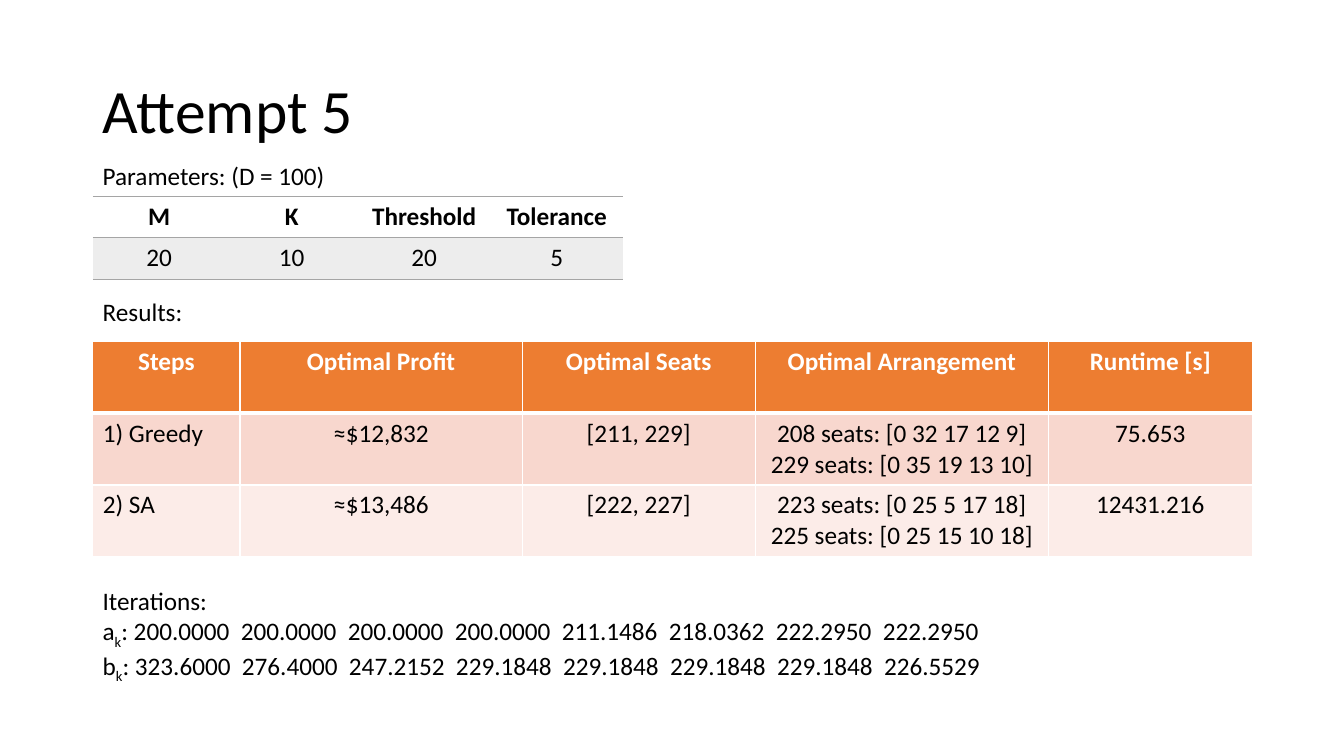
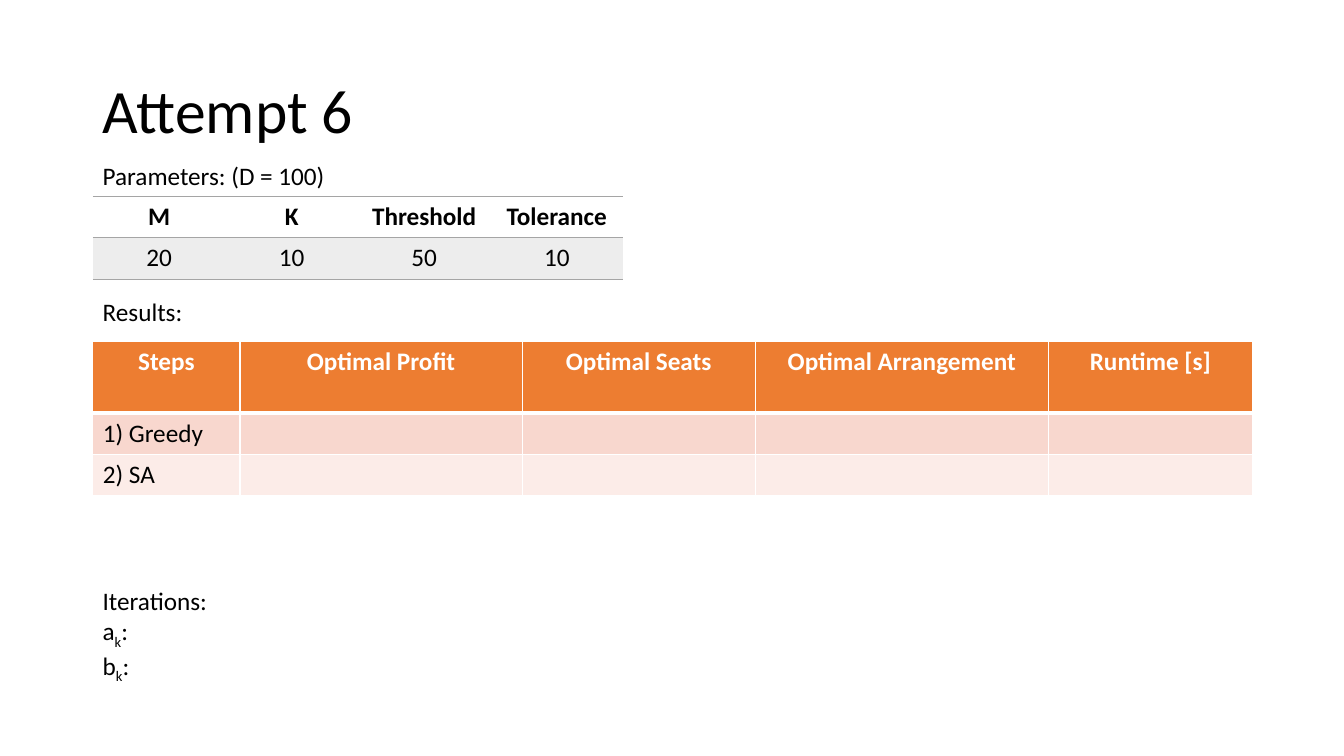
"""Build two slides reporting the parameters and results of optimisation attempts."""
from lxml.etree import SubElement
from pptx import Presentation
from pptx.dml.color import RGBColor
from pptx.enum.text import MSO_ANCHOR, MSO_AUTO_SIZE, PP_ALIGN
from pptx.oxml.ns import qn
from pptx.util import Inches, Pt

FONT = "Calibri"
BLACK = RGBColor(0x00, 0x00, 0x00)
WHITE = RGBColor(0xFF, 0xFF, 0xFF)
GRAY = RGBColor(0xA5, 0xA5, 0xA5)
PALE_GRAY = RGBColor(0xED, 0xED, 0xED)
ORANGE = RGBColor(0xED, 0x7D, 0x31)
BANDS = [RGBColor(0xF8, 0xD7, 0xCE), RGBColor(0xFC, 0xEC, 0xE8)]
PLAIN_TABLE_STYLE = "{2D5ABB26-0587-4C30-8999-92F81FD0307C}"

LEFT = 0.92
CONTENT_WIDTH = 11.5
LABEL_WIDTH = 4.08
ROW_HEIGHT = 0.41
TALL_ROW_HEIGHT = 0.71
PARAMETER_WIDTHS = [5.26 / 4] * 4
RESULT_WIDTHS = [1.46, 2.8, 2.31, 2.91, 2.02]

PARAMETER_HEADER = ["M", "K", "Threshold", "Tolerance"]
RESULT_HEADER = ["Steps", "Optimal Profit", "Optimal Seats", "Optimal Arrangement", "Runtime [s]"]
ATTEMPTS = [
    {
        "title": "Attempt 5",
        "parameters": ["20", "10", "20", "5"],
        "results": [
            ["1) Greedy", "≈$12,832", "[211, 229]",
             "208 seats: [0 32 17 12 9]\n229 seats: [0 35 19 13 10]", "75.653"],
            ["2) SA", "≈$13,486", "[222, 227]",
             "223 seats: [0 25 5 17 18]\n225 seats: [0 25 15 10 18]", "12431.216"],
        ],
        "iterations": {
            "a": ["200.0000", "200.0000", "200.0000", "200.0000",
                  "211.1486", "218.0362", "222.2950", "222.2950"],
            "b": ["323.6000", "276.4000", "247.2152", "229.1848",
                  "229.1848", "229.1848", "229.1848", "226.5529"],
        },
    },
    {
        "title": "Attempt 6",
        "parameters": ["20", "10", "50", "10"],
        "results": [["1) Greedy", "", "", "", ""], ["2) SA", "", "", "", ""]],
        "iterations": {"a": [], "b": []},
    },
]


def style_text(text_frame, size=18, color=BLACK, bold=False, align=PP_ALIGN.LEFT):
    for paragraph in text_frame.paragraphs:
        paragraph.alignment = align
        paragraph.font.size = Pt(size)
        for run in paragraph.runs:
            run.font.name = FONT
            run.font.size = Pt(size)
            run.font.bold = bold
            run.font.color.rgb = color


def set_border(cell, side, color, points):
    line = SubElement(cell._tc.get_or_add_tcPr(), qn(f"a:ln{side}"), w=str(Pt(points)))
    fill = SubElement(line, qn("a:solidFill"))
    SubElement(fill, qn("a:srgbClr"), val=str(color))


def add_table(slide, top, widths, heights, rows):
    frame = slide.shapes.add_table(len(rows), len(widths), Inches(LEFT), Inches(top),
                                   Inches(sum(widths)), Inches(sum(heights)))
    table = frame.table
    table.horz_banding = False
    table._tbl.tblPr.find(qn("a:tableStyleId")).text = PLAIN_TABLE_STYLE
    for column, width in zip(table.columns, widths):
        column.width = Inches(width)
    for row, height, texts in zip(table.rows, heights, rows):
        row.height = Inches(height)
        for cell, text in zip(row.cells, texts):
            cell.text_frame.text = text
    return table


def add_parameter_table(slide, values):
    table = add_table(slide, 1.95, PARAMETER_WIDTHS, [ROW_HEIGHT] * 2, [PARAMETER_HEADER, values])
    for index, row in enumerate(table.rows):
        for cell in row.cells:
            for side in "TB":
                set_border(cell, side, GRAY, 1)
            if index:
                cell.fill.solid()
                cell.fill.fore_color.rgb = PALE_GRAY
            style_text(cell.text_frame, bold=index == 0, align=PP_ALIGN.CENTER)


def add_result_table(slide, results):
    heights = [TALL_ROW_HEIGHT] + [
        TALL_ROW_HEIGHT if any("\n" in text for text in row) else ROW_HEIGHT for row in results
    ]
    table = add_table(slide, 3.39, RESULT_WIDTHS, heights, [RESULT_HEADER] + results)
    fills = [ORANGE] + BANDS
    for index, row in enumerate(table.rows):
        header = index == 0
        borders = {"L": 1, "R": 1, "T": 3 if index == 1 else 1, "B": 3 if header else 1}
        for column, cell in enumerate(row.cells):
            for side, points in borders.items():
                set_border(cell, side, WHITE, points)
            cell.fill.solid()
            cell.fill.fore_color.rgb = fills[index]
            style_text(cell.text_frame, color=WHITE if header else BLACK, bold=header,
                       align=PP_ALIGN.CENTER if header or column else PP_ALIGN.LEFT)


def add_text(slide, top, width, height, text):
    box = slide.shapes.add_textbox(Inches(LEFT), Inches(top), Inches(width), Inches(height))
    text_frame = box.text_frame
    text_frame.word_wrap = True
    text_frame.auto_size = MSO_AUTO_SIZE.SHAPE_TO_FIT_TEXT
    text_frame.text = text
    style_text(text_frame)
    return text_frame


def add_iterations(slide, iterations):
    text_frame = add_text(slide, 5.76, CONTENT_WIDTH, 1.01, "Iterations:")
    for name, values in iterations.items():
        paragraph = text_frame.add_paragraph()
        for text in (name, "k", f": {'  '.join(values)}".rstrip()):
            paragraph.add_run().text = text
        paragraph.runs[1]._r.get_or_add_rPr().set("baseline", "-25000")
    style_text(text_frame)


def add_attempt(presentation, layout, attempt):
    slide = presentation.slides.add_slide(layout)
    title = slide.shapes.title.text_frame
    title.text = attempt["title"]
    title.paragraphs[0].line_spacing = 0.9
    style_text(title, size=44)
    add_parameter_table(slide, attempt["parameters"])
    add_result_table(slide, attempt["results"])
    add_text(slide, 1.54, LABEL_WIDTH, 0.4, "Parameters: (D = 100)")
    add_text(slide, 2.89, LABEL_WIDTH, 0.4, "Results:")
    add_iterations(slide, attempt["iterations"])


def main():
    presentation = Presentation()
    presentation.slide_width = Inches(13.33)
    presentation.slide_height = Inches(7.5)
    layout = presentation.slide_layouts.get_by_name("Title Only")
    title = layout.placeholders[0]
    title.left, title.top = Inches(LEFT), Inches(0.4)
    title.width, title.height = Inches(CONTENT_WIDTH), Inches(1.45)
    title.text_frame.vertical_anchor = MSO_ANCHOR.MIDDLE
    for attempt in ATTEMPTS:
        add_attempt(presentation, layout, attempt)
    presentation.save("out.pptx")


if __name__ == "__main__":
    main()
